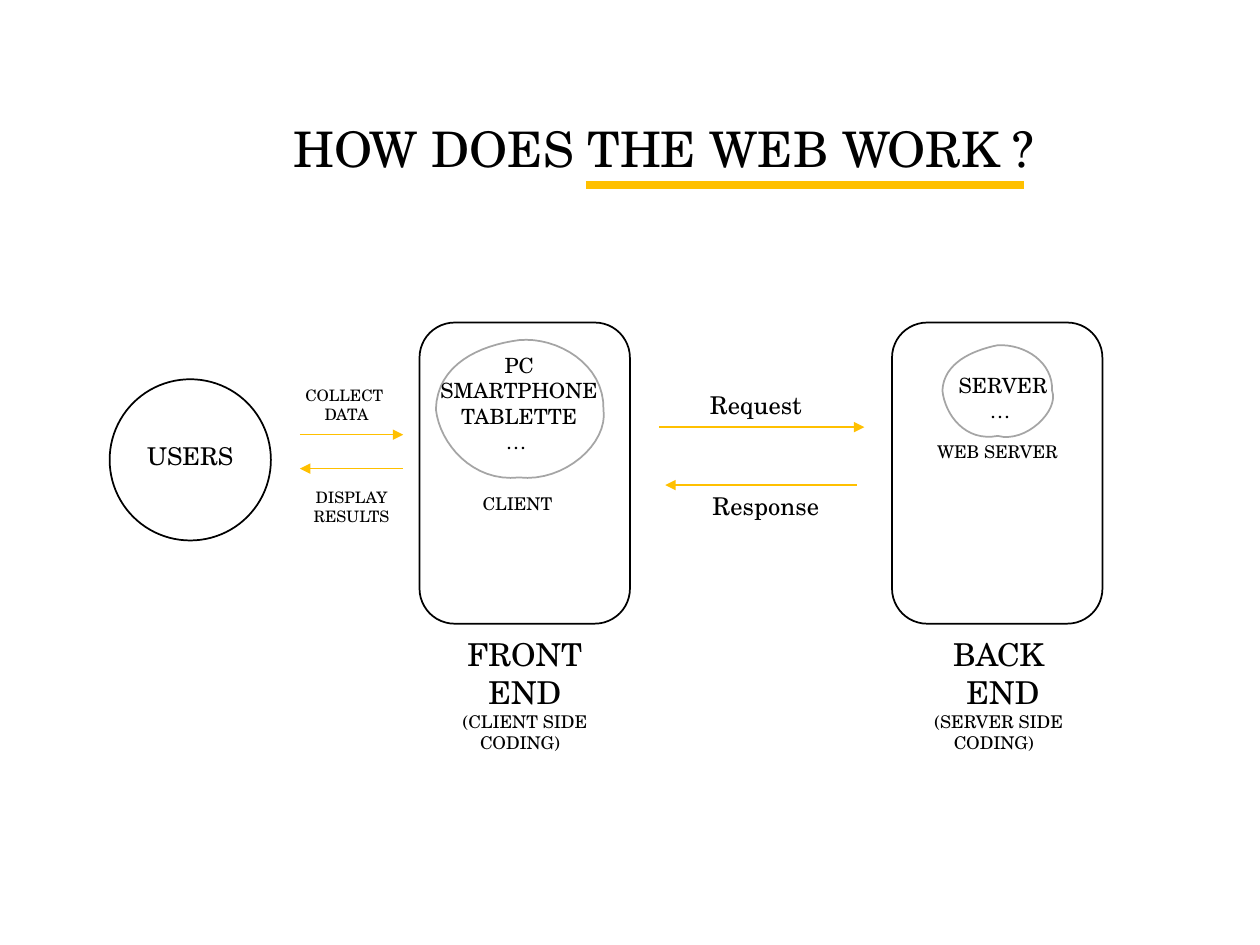
from dataclasses import dataclass
from lxml.etree import SubElement
from pptx import Presentation
from pptx.dml.color import RGBColor
from pptx.enum.shapes import MSO_CONNECTOR, MSO_SHAPE
from pptx.enum.text import PP_ALIGN
from pptx.oxml.ns import qn
from pptx.util import Inches, Pt


@dataclass(frozen=True)
class Theme:
    font: str = "TeX Gyre Schola"
    spacer_font: str = "Calibri"
    black: RGBColor = RGBColor(0, 0, 0)
    white: RGBColor = RGBColor(255, 255, 255)
    gold: RGBColor = RGBColor(255, 192, 0)
    gray: RGBColor = RGBColor(165, 165, 165)
    title: int = 28
    heading: int = 18
    label: int = 14
    device: int = 12
    note: int = 10
    small: int = 9


theme = Theme()
deck = Presentation()
deck.slide_width, deck.slide_height = Inches(10), Inches(7.5)
page = deck.slides.add_slide(deck.slide_layouts[6])


def add_text(left, top, width, height, lines, align=PP_ALIGN.CENTER):
    box = page.shapes.add_textbox(Inches(left), Inches(top), Inches(width), Inches(height))
    frame = box.text_frame
    frame.word_wrap = True
    frame.text = "\n".join(text for text, size in lines)
    for para, (text, size) in zip(frame.paragraphs, lines):
        para.alignment = align
        font = para.runs[0].font
        font.name, font.size, font.color.rgb = theme.font, Pt(size), theme.black
    return frame


def add_line(start, end, y, weight, arrow=True):
    line = page.shapes.add_connector(
        MSO_CONNECTOR.STRAIGHT, Inches(start), Inches(y), Inches(end), Inches(y))
    line.line.color.rgb = theme.gold
    line.line.width = Pt(weight)
    if arrow:
        SubElement(line.line._get_or_add_ln(), qn("a:tailEnd"), type="triangle")
    SubElement(line._element.spPr, qn("a:effectLst"))


add_text(2.23, 0.89, 6.1, 0.57, [("HOW DOES THE WEB WORK ?", theme.title)], PP_ALIGN.LEFT)
add_line(4.65, 8.13, 1.47, 4.5, arrow=False)

for kind, left, top, width, height in [
    (MSO_SHAPE.ROUNDED_RECTANGLE, 3.33, 2.56, 1.67, 2.39),
    (MSO_SHAPE.ROUNDED_RECTANGLE, 7.08, 2.56, 1.67, 2.39),
    (MSO_SHAPE.OVAL, 0.87, 3.01, 1.28, 1.28),
]:
    outline = page.shapes.add_shape(kind, Inches(left), Inches(top), Inches(width), Inches(height))
    outline.shadow.inherit = False
    outline.line.color.rgb = theme.black
    outline.line.width = Pt(1)
    if kind == MSO_SHAPE.OVAL:
        outline.fill.background()
    else:
        outline.fill.solid()
        outline.fill.fore_color.rgb = theme.white

client_curves = [
    [(3.46, 3.25), (3.47, 2.89), (3.81, 2.74), (4.12, 2.7)],
    [(4.12, 2.7), (4.42, 2.67), (4.8, 2.89), (4.79, 3.25)],
    [(4.79, 3.25), (4.83, 3.52), (4.48, 3.83), (4.12, 3.79)],
    [(4.12, 3.79), (3.75, 3.83), (3.49, 3.52), (3.46, 3.25)],
]
server_curves = [
    [(7.48, 3.1), (7.49, 2.88), (7.72, 2.78), (7.92, 2.74)],
    [(7.92, 2.74), (8.14, 2.73), (8.36, 2.88), (8.35, 3.1)],
    [(8.35, 3.1), (8.41, 3.26), (8.14, 3.52), (7.92, 3.46)],
    [(7.92, 3.46), (7.66, 3.51), (7.5, 3.29), (7.48, 3.1)],
]
weights = (1, 3, 3, 1)
steps = 16
for curves in (client_curves, server_curves):
    points = []
    for curve in curves:
        for step in range(1, steps + 1):
            t = step / steps
            points.append(tuple(
                Inches(sum(weights[i] * (1 - t) ** (3 - i) * t ** i * curve[i][axis]
                           for i in range(4)))
                for axis in (0, 1)))
    builder = page.shapes.build_freeform(*points[-1])
    builder.add_line_segments(points, close=True)
    blob = builder.convert_to_shape()
    blob.shadow.inherit = False
    blob.fill.background()
    blob.line.color.rgb = theme.gray
    blob.line.width = Pt(1)

for start, end, y in [
    (5.23, 6.86, 3.39), (6.8, 5.28, 3.85), (2.38, 3.2, 3.45), (3.2, 2.38, 3.72),
]:
    add_line(start, end, y, 0.75)

for left, top, width, height, size, lines in [
    (5.4, 3.05, 1.25, 0.34, theme.label, ["Request "]),
    (5.48, 3.85, 1.25, 0.34, theme.label, ["Response "]),
    (0.72, 3.45, 1.58, 0.34, theme.label, ["USERS"]),
    (3.33, 2.75, 1.58, 0.91, theme.device, ["PC", "SMARTPHONE", "TABLETTE", "… "]),
    (7.17, 2.91, 1.58, 0.5, theme.device, ["SERVER", "… "]),
    (1.96, 3.01, 1.58, 0.4, theme.small, ["COLLECT ", "DATA"]),
    (2, 3.82, 1.58, 0.4, theme.small, ["DISPLAY", "RESULTS"]),
]:
    add_text(left, top, width, height, [(text, size) for text in lines])

for left, heading, note in [
    (3.54, ["FRONT END"], "(CLIENT SIDE CODING)  "),
    (7.3, ["BACK", " END"], "(SERVER SIDE CODING)  "),
]:
    lines = [(text, theme.heading) for text in heading] + [(note, theme.note)]
    add_text(left, 4.99, 1.25, 1.04, lines)

for left, top, text in [(3.54, 3.75, "CLIENT"), (7.32, 3.45, "WEB SERVER ")]:
    frame = add_text(left, top, 1.19, 0.4, [(text, theme.note)])
    span = frame.paragraphs[0].add_run()
    span.text = " "
    span.font.name, span.font.size = theme.spacer_font, Pt(theme.heading)

deck.save("out.pptx")
